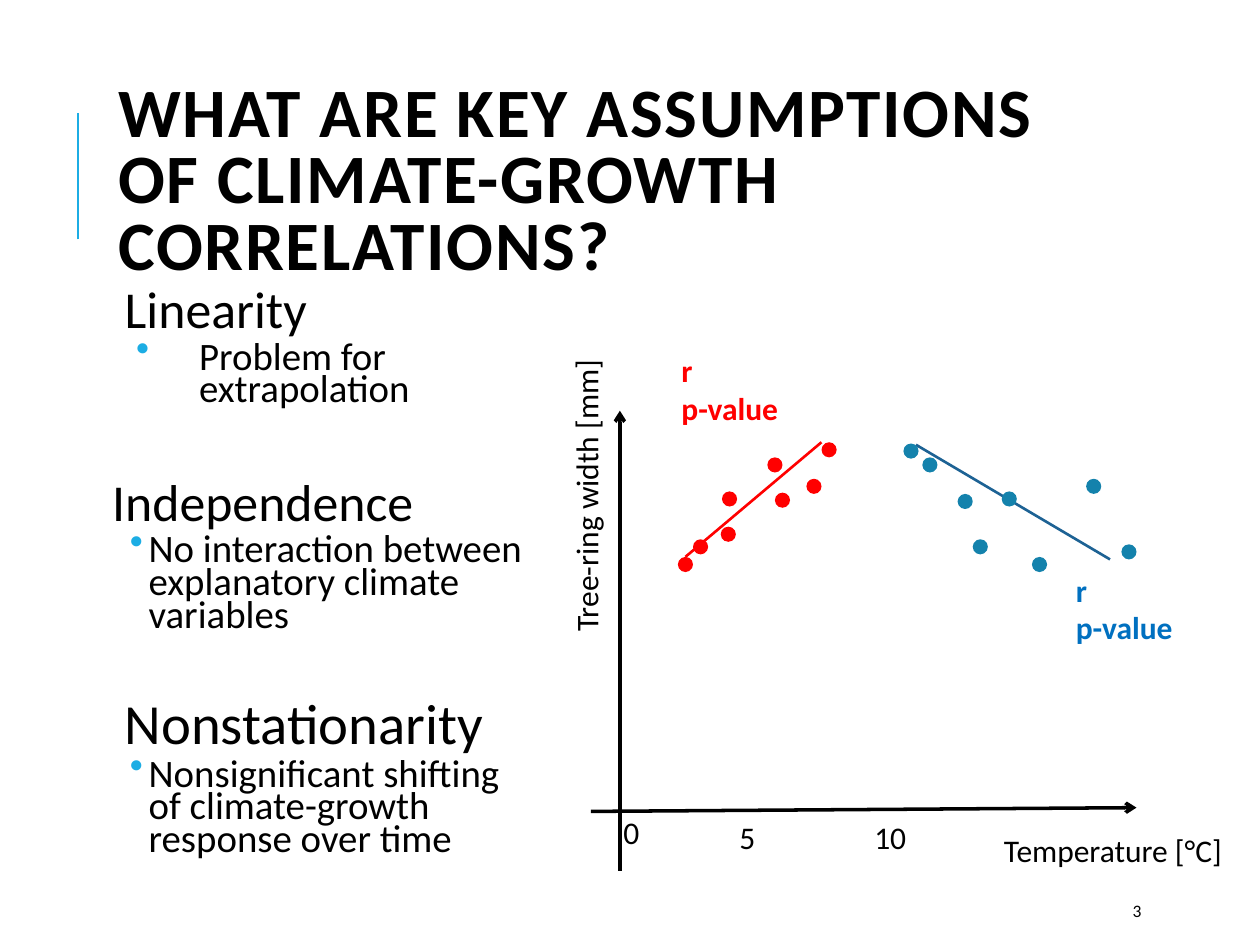
from lxml import etree
from pptx import Presentation
from pptx import util as u
from pptx.dml.color import RGBColor
from pptx.enum import shapes, text
from pptx.oxml.ns import qn

COLORS = {
    "text": "000000", "accent": "1CADE4", "warm": "FF0000",
    "cool": "1482AC", "cool line": "1D6294", "cool text": "0070C0",
}
FONT = "Calibri"

deck = Presentation()
deck.slide_width, deck.slide_height = u.Inches(10), u.Inches(7.5)
CELL = deck.slide_width / 100  # the page is a grid of 100 columns and 75 rows
page = deck.slides.add_slide(deck.slide_layouts[6])


def cells(*counts):
    return [u.Emu(round(count * CELL)) for count in counts]


def add_text(place, lines, size, color="text", bold=False):
    """Add a text box with one paragraph per line and return it."""
    box = page.shapes.add_textbox(*cells(*place))
    frame = box.text_frame
    frame.word_wrap = True
    for number, line in enumerate(lines):
        para = frame.add_paragraph() if number else frame.paragraphs[0]
        span = para.add_run()
        span.text = line
        span.font.name, span.font.size = FONT, u.Pt(size)
        span.font.bold = bold
        span.font.color.rgb = RGBColor.from_string(COLORS[color])
    return box


# Title
title = add_text((8.4, 6.4, 79.7, 16.4),
                 ["WHAT ARE KEY ASSUMPTIONS OF CLIMATE-GROWTH CORRELATIONS?"],
                 39.6, bold=True)
title.text_frame.vertical_anchor = text.MSO_ANCHOR.MIDDLE
title_para = title.text_frame.paragraphs[0]
title_para.line_spacing = 0.8
title_para.runs[0].font._element.set("spc", "100")

# Assumptions: text, size, left margin, hanging indent, space before
assumptions = [
    ("Linearity", 29.6, 1, 0, 12),
    ("Problem for extrapolation", 22.2, 6.9, 5, 2),
    ("Independence", 29.6, 0, 0, 40),
    ("No interaction between explanatory climate variables", 22.2, 2.9, 1.5, 2),
    ("Nonstationarity", 32.4, 1, 0, 37),
    ("Nonsignificant shifting of climate-growth response over time",
     22.2, 2.9, 1.5, 2),
]
body = add_text((8.4, 22.8, 33.6, 46.2), [item[0] for item in assumptions], 22.2)
frame = body.text_frame
frame.margin_left, frame.margin_top, frame.margin_right, frame.margin_bottom = cells(
    0.5, 0.5, 0.5, 0.5)
for para, (_, size, margin, hanging, before) in zip(frame.paragraphs, assumptions):
    para.runs[0].font.size = u.Pt(size)
    para.line_spacing = 0.7
    para.space_before = u.Pt(before)
    para.space_after = u.Pt(4 if hanging else 2)
    margin, hanging = cells(margin, hanging)
    props = para._p.get_or_add_pPr()
    props.set("marL", str(margin))
    props.set("indent", str(-hanging))
    if hanging:
        bullet_color = etree.SubElement(props, qn("a:buClr"))
        etree.SubElement(bullet_color, qn("a:srgbClr"), val=COLORS["accent"])
        etree.SubElement(props, qn("a:buChar"), char="•")

# Title rule, axes and trend lines: start, end, colour, width, arrowhead
lines = [
    ((6.2, 19), (6.2, 9), "accent", 1.5, False),
    ((46.9, 64.4), (90.2, 64.1), "text", 2, True),
    ((49.2, 69.1), (49.2, 32.6), "text", 2, True),
    ((54.4, 44.2), (65.2, 35.1), "warm", 1.5, False),
    ((88.1, 44.4), (72.7, 35.3), "cool line", 1.5, False),
]
for start, end, color, width, arrow in lines:
    line = page.shapes.add_connector(
        shapes.MSO_CONNECTOR.STRAIGHT, *cells(*start, *end))
    line.line.color.rgb = RGBColor.from_string(COLORS[color])
    line.line.width = u.Pt(width)
    if arrow:
        etree.SubElement(line.line._get_or_add_ln(), qn("a:tailEnd"), type="arrow")
    etree.SubElement(line._element.spPr, qn("a:effectLst"))

# Observations: left and top of each dot
DOT = 1.2
observations = {
    "warm": [(53.8, 44.2), (55, 42.8), (57.3, 39), (57.2, 41.8),
             (61.5, 39.1), (60.9, 36.3), (64, 38), (65.2, 35.1)],
    "cool": [(81.9, 44.2), (77.2, 42.8), (79.5, 39), (89, 43.2),
             (76, 39.2), (73.2, 36.3), (86.2, 38), (71.7, 35.2)],
}
for color, points in observations.items():
    for left, top in points:
        dot = page.shapes.add_shape(
            shapes.MSO_SHAPE.OVAL, *cells(left, top, DOT, DOT))
        dot.shadow.inherit = False
        dot.fill.solid()
        dot.fill.fore_color.rgb = RGBColor.from_string(COLORS[color])
        dot.line.fill.background()

# Axis labels and ticks
add_text((78.7, 65.5, 24.4, 4), ["Temperature [°C]"], 18)
add_text((34.2, 36.8, 24.6, 4), ["Tree-ring width [mm]"], 18).rotation = 270
for label, left, top, width in [("0", 48.5, 64, 3.4), ("5", 57.7, 64.4, 3.4),
                                ("10", 68.4, 64.4, 4.8)]:
    tick = add_text((left, top, width, 4), [label], 18)
    tick.text_frame.word_wrap = False

# Correlation labels
for left, top, color in [(53.1, 27.4, "warm"), (84.4, 44.8, "cool text")]:
    add_text((left, top, 15.8, 7.1), ["r", "p-value"], 18, color, bold=True)

# Page number
number = add_text((88.9, 70.8, 8, 3), ["3"], 10)
number.text_frame.vertical_anchor = text.MSO_ANCHOR.MIDDLE

deck.save("out.pptx")
